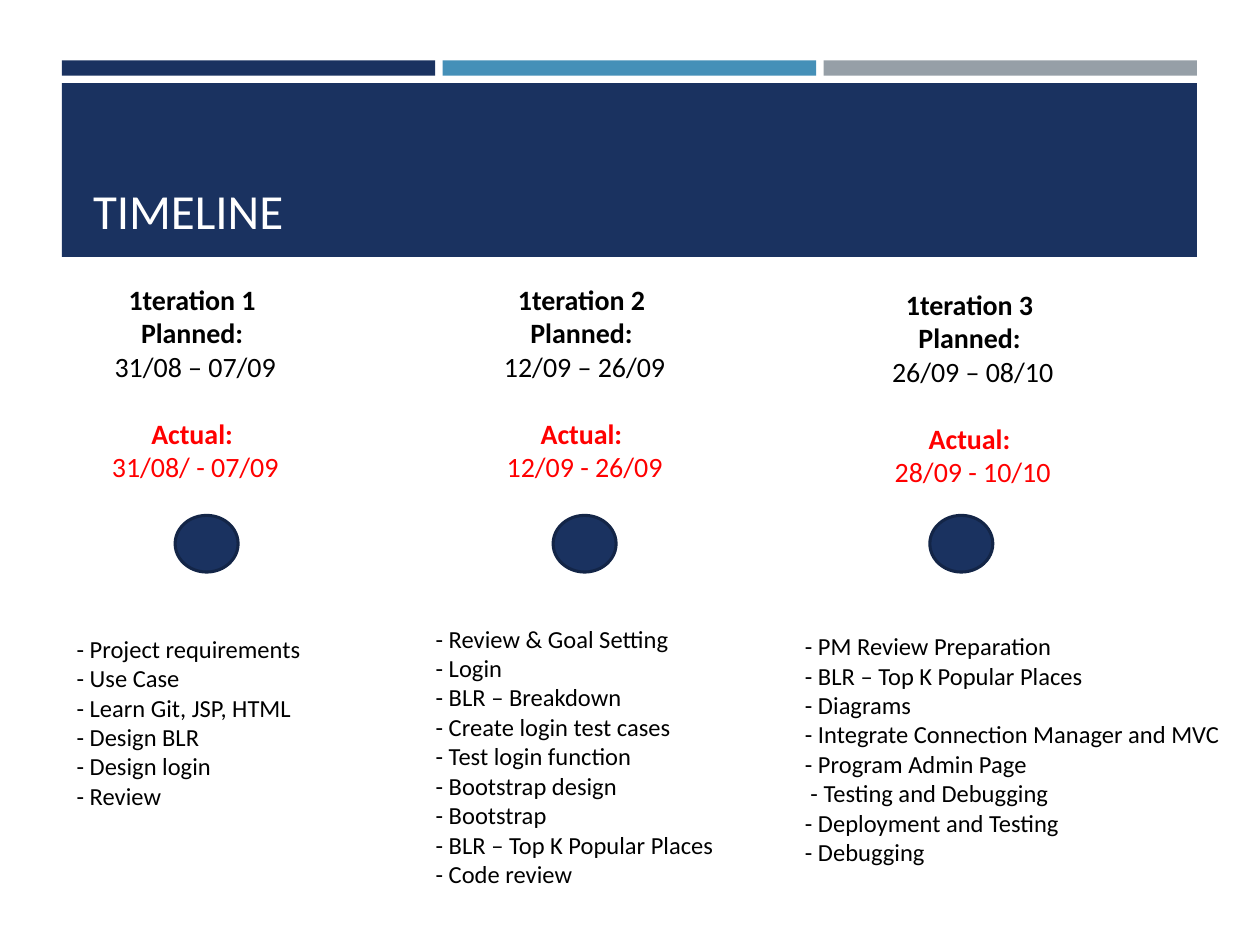
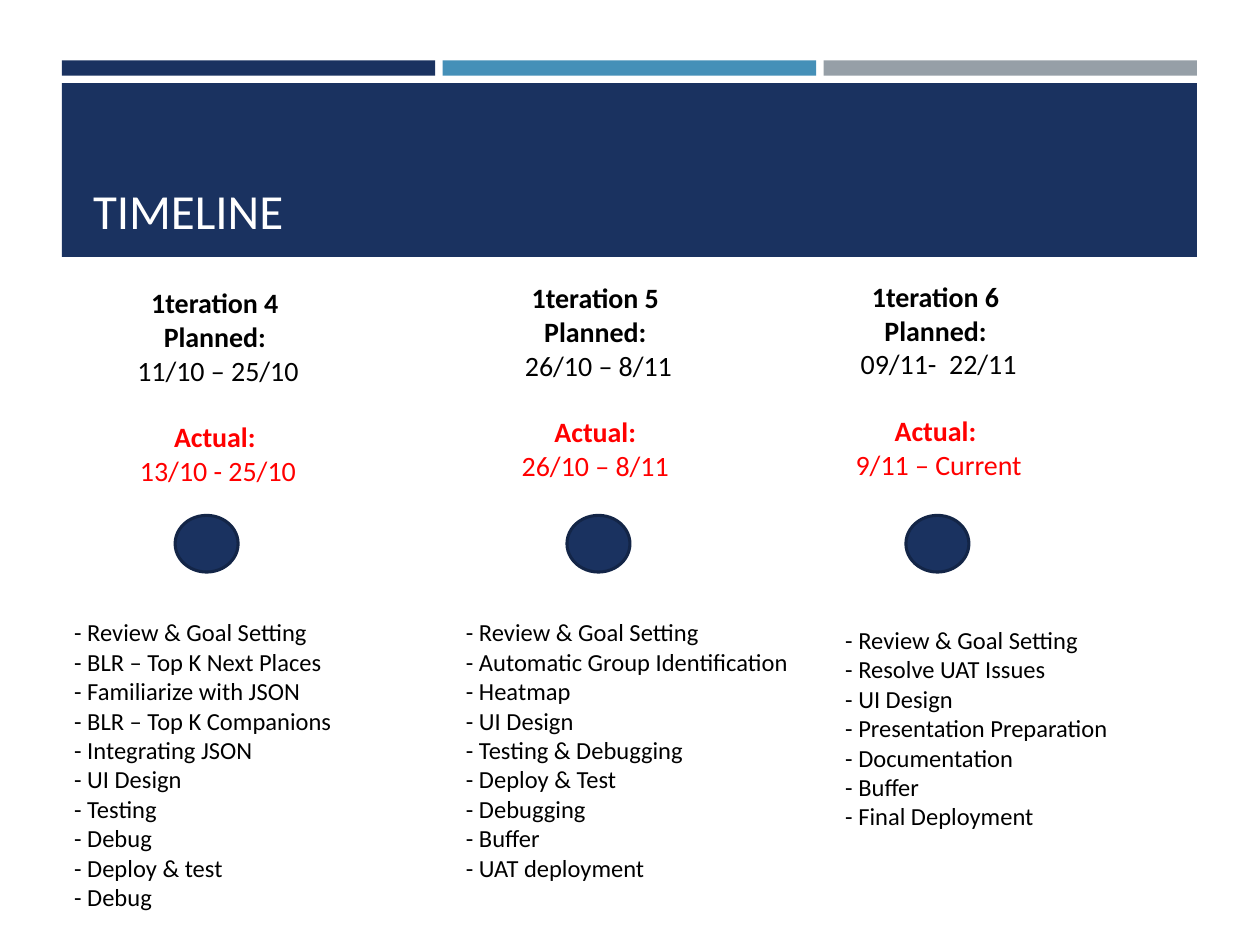
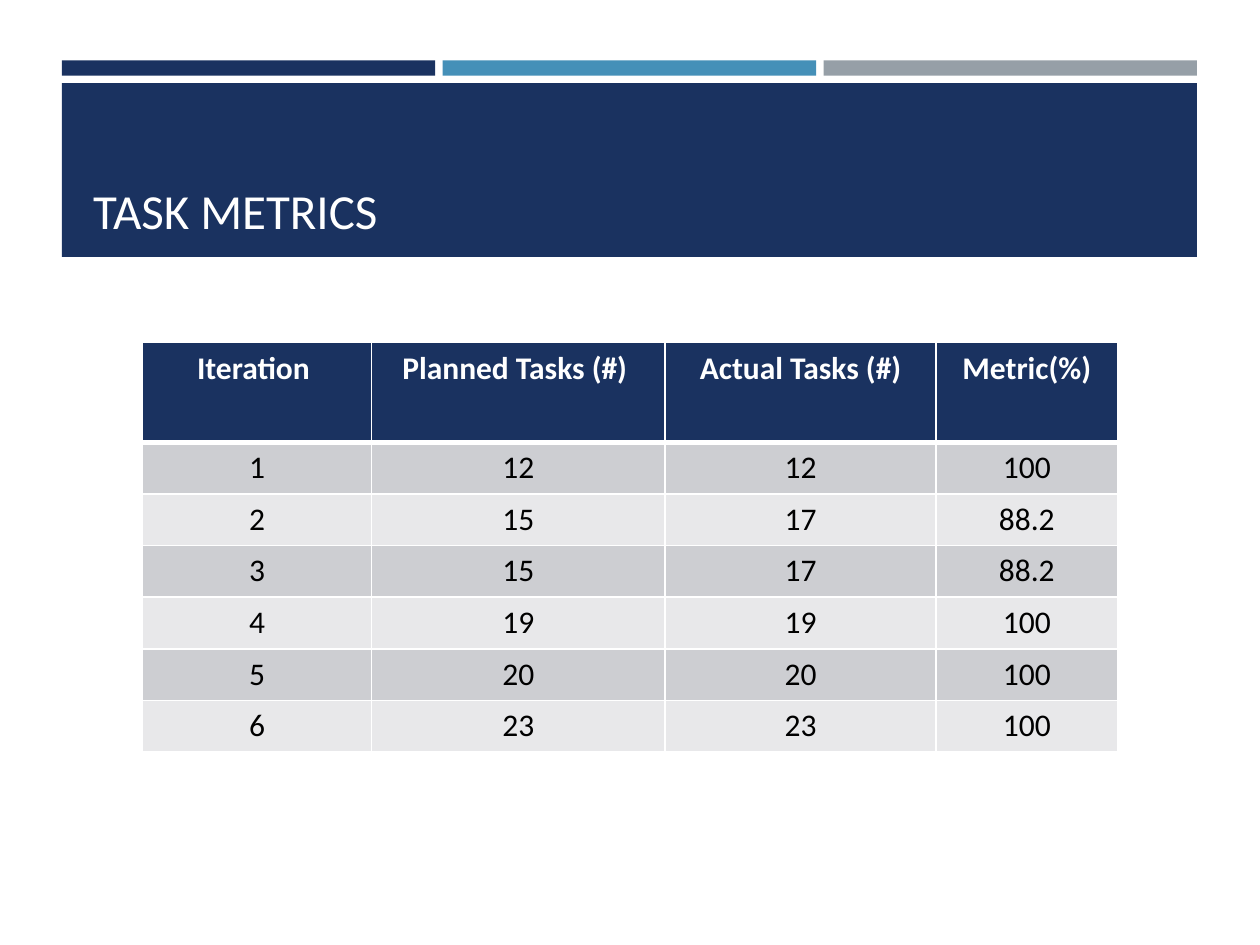
from dataclasses import dataclass

from lxml import etree
from pptx import Presentation
from pptx.dml.color import RGBColor
from pptx.enum.shapes import MSO_SHAPE
from pptx.enum.text import MSO_ANCHOR, PP_ALIGN
from pptx.oxml.ns import qn
from pptx.util import Inches, Pt


@dataclass(frozen=True)
class Theme:
    font: str = "Calibri"
    navy: str = "1A3260"
    dark_navy: str = "132547"
    blue: str = "4590B8"
    gray: str = "969FA7"
    white: str = "FFFFFF"
    black: str = "000000"
    red: str = "FF0000"
    row_bands: tuple = ("CDCED2", "E8E8EA")
    title_size: int = 28
    table_size: int = 18
    heading_size: int = 16
    task_size: int = 14
    heading_gap: int = 19


@dataclass(frozen=True)
class Iteration:
    number: int
    planned: str
    actual: str
    heading_position: tuple
    dot_left: float
    tasks_box: tuple
    tasks: tuple


THEME = Theme()
BAND_LEFT, BAND_WIDTH, BAR_GAP = 0.49, 9.01, 0.06
HEADING_SIZE = (2.08, 1.72)
DOT_TOP, DOT_SIZE = 4.09, (0.5, 0.45)

FIRST_ITERATIONS = (
    Iteration(1, "31/08 – 07/09", "31/08/ - 07/09", (0.51, 2.19), 1.39,
              (0.51, 4.98, 2.38, 1.78),
              ("- Project requirements", "- Use Case", "- Learn Git, JSP, HTML",
               "- Design BLR", "- Design login", "- Review")),
    Iteration(2, "12/09 – 26/09", "12/09 - 26/09", (3.6, 2.19), 4.39,
              (3.36, 4.9, 2.63, 2.22),
              ("- Review & Goal Setting", "- Login", "- BLR – Breakdown",
               "- Create login test cases", "- Test login function",
               "- Bootstrap design", "- Bootstrap",
               "- BLR – Top K Popular Places", "- Code review")),
    Iteration(3, "26/09 – 08/10", "28/09 - 10/10", (6.68, 2.23), 7.38,
              (6.29, 4.96, 3.71, 2.22),
              ("- PM Review Preparation", "- BLR – Top K Popular Places",
               "- Diagrams", "- Integrate Connection Manager and MVC",
               "- Program Admin Page", " - Testing and Debugging",
               "- Deployment and Testing", "- Debugging")),
)

LAST_ITERATIONS = (
    Iteration(4, "11/10 – 25/10", "13/10 - 25/10", (0.69, 2.22), 1.39,
              (0.49, 4.85, 2.38, 2.73),
              ("- Review & Goal Setting", "- BLR – Top K Next Places",
               "- Familiarize with JSON", "- BLR – Top K Companions",
               "- Integrating JSON", "- UI Design", "- Testing", "- Debug",
               "- Deploy & test", "- Debug")),
    Iteration(5, "26/10 – 8/11", "26/10 – 8/11 ", (3.71, 2.18), 4.5,
              (3.6, 4.85, 2.8, 2.49),
              ("- Review & Goal Setting", "- Automatic Group Identification",
               "- Heatmap", "- UI Design", "- Testing & Debugging",
               "- Deploy & Test", "- Debugging", "- Buffer",
               "- UAT deployment")),
    Iteration(6, "09/11-  22/11", " 9/11 – Current ", (6.41, 2.17), 7.19,
              (6.61, 4.91, 2.38, 1.75),
              ("- Review & Goal Setting", "- Resolve UAT Issues", "- UI Design",
               "- Presentation Preparation", "- Documentation", "- Buffer",
               "- Final Deployment")),
)

METRICS_LEFT, METRICS_TOP = 1.13, 2.72
METRICS_COLUMNS = (1.82, 2.33, 2.15, 1.44)
HEADER_HEIGHT, ROW_HEIGHT = 0.79, 0.41
METRICS = (
    ("Iteration ", "Planned Tasks (#) ", "Actual Tasks (#)", "Metric(%)"),
    ("1", "12", "12", "100"),
    ("2", "15", "17", "88.2"),
    ("3", "15", "17", "88.2"),
    ("4", "19", "19", "100"),
    ("5", "20", "20", "100"),
    ("6", "23", "23", "100"),
)


def color(value):
    return RGBColor.from_string(value)


def write_text(frame, text, *, size, fill=THEME.black, bold=False,
               align=PP_ALIGN.LEFT, space_before=0):
    """Fill the empty first paragraph, or append another one."""
    paragraph = frame.add_paragraph() if frame.text else frame.paragraphs[0]
    paragraph.alignment = align
    paragraph.space_before = Pt(space_before)
    run = paragraph.add_run()
    run.text = text
    run.font.name = THEME.font
    run.font.size = Pt(size)
    run.font.bold = bold
    run.font.color.rgb = color(fill)


def add_text_frame(slide, left, top, width, height):
    box = slide.shapes.add_textbox(Inches(left), Inches(top),
                                   Inches(width), Inches(height))
    box.text_frame.word_wrap = True
    return box.text_frame


def add_filled_shape(slide, kind, left, top, width, height, fill, line=None):
    shape = slide.shapes.add_shape(kind, Inches(left), Inches(top),
                                   Inches(width), Inches(height))
    shape.shadow.inherit = False
    shape.fill.solid()
    shape.fill.fore_color.rgb = color(fill)
    if line:
        shape.line.color.rgb = color(line)
        shape.line.width = Pt(1.75)
    else:
        shape.line.fill.background()


def add_titled_slide(presentation, title):
    """Add a blank slide with the three bars, the title band and its title."""
    slide = presentation.slides.add_slide(presentation.slide_layouts[6])
    bar_width = (BAND_WIDTH - 2 * BAR_GAP) / 3
    for index, fill in enumerate((THEME.navy, THEME.blue, THEME.gray)):
        left = BAND_LEFT + index * (bar_width + BAR_GAP)
        add_filled_shape(slide, MSO_SHAPE.RECTANGLE, left, 0.48, bar_width, 0.12, fill)
    add_filled_shape(slide, MSO_SHAPE.RECTANGLE, BAND_LEFT, 0.66, BAND_WIDTH, 1.38,
                     THEME.navy)
    frame = add_text_frame(slide, 0.64, 0.75, 8.74, 1.18)
    frame.vertical_anchor = MSO_ANCHOR.BOTTOM
    frame.margin_bottom = Inches(0.03)
    write_text(frame, title, size=THEME.title_size, fill=THEME.white)
    return slide


def add_iteration(slide, iteration):
    heading = add_text_frame(slide, *iteration.heading_position, *HEADING_SIZE)
    style = {"size": THEME.heading_size, "align": PP_ALIGN.CENTER}
    write_text(heading, f"1teration {iteration.number} ", bold=True, **style)
    write_text(heading, "Planned: ", bold=True, **style)
    write_text(heading, iteration.planned, **style)
    write_text(heading, "Actual: ", bold=True, fill=THEME.red,
               space_before=THEME.heading_gap, **style)
    write_text(heading, iteration.actual, fill=THEME.red, **style)

    add_filled_shape(slide, MSO_SHAPE.OVAL, iteration.dot_left, DOT_TOP, *DOT_SIZE,
                     THEME.navy, THEME.dark_navy)

    tasks = add_text_frame(slide, *iteration.tasks_box)
    for task in iteration.tasks:
        write_text(tasks, task, size=THEME.task_size)


def add_timeline_slide(presentation, iterations):
    slide = add_titled_slide(presentation, "TIMELINE")
    for iteration in iterations:
        add_iteration(slide, iteration)


def set_borders(cell, top, bottom):
    """Draw white cell borders; top and bottom are widths in points."""
    properties = cell._tc.get_or_add_tcPr()
    for side, width in (("L", 1), ("R", 1), ("T", top), ("B", bottom)):
        line = etree.SubElement(properties, qn(f"a:ln{side}"), w=str(Pt(width)))
        fill = etree.SubElement(line, qn("a:solidFill"))
        etree.SubElement(fill, qn("a:srgbClr"), val=THEME.white)


def add_metrics_table(slide):
    height = HEADER_HEIGHT + ROW_HEIGHT * (len(METRICS) - 1)
    table = slide.shapes.add_table(
        len(METRICS), len(METRICS_COLUMNS), Inches(METRICS_LEFT), Inches(METRICS_TOP),
        Inches(sum(METRICS_COLUMNS)), Inches(height)).table
    for column, width in zip(table.columns, METRICS_COLUMNS):
        column.width = Inches(width)
    for row_index, values in enumerate(METRICS):
        is_header = row_index == 0
        table.rows[row_index].height = Inches(HEADER_HEIGHT if is_header else ROW_HEIGHT)
        band = THEME.navy if is_header else THEME.row_bands[(row_index - 1) % 2]
        for column_index, value in enumerate(values):
            cell = table.cell(row_index, column_index)
            set_borders(cell, top=3 if row_index == 1 else 1,
                        bottom=3 if is_header else 1)
            cell.fill.solid()
            cell.fill.fore_color.rgb = color(band)
            write_text(cell.text_frame, value, size=THEME.table_size, bold=is_header,
                       fill=THEME.white if is_header else THEME.black,
                       align=PP_ALIGN.CENTER)


def main():
    presentation = Presentation()
    presentation.slide_width = Inches(10)
    presentation.slide_height = Inches(7.5)
    add_timeline_slide(presentation, FIRST_ITERATIONS)
    add_timeline_slide(presentation, LAST_ITERATIONS)
    add_metrics_table(add_titled_slide(presentation, "TASK METRICS"))
    presentation.save("out.pptx")


if __name__ == "__main__":
    main()
